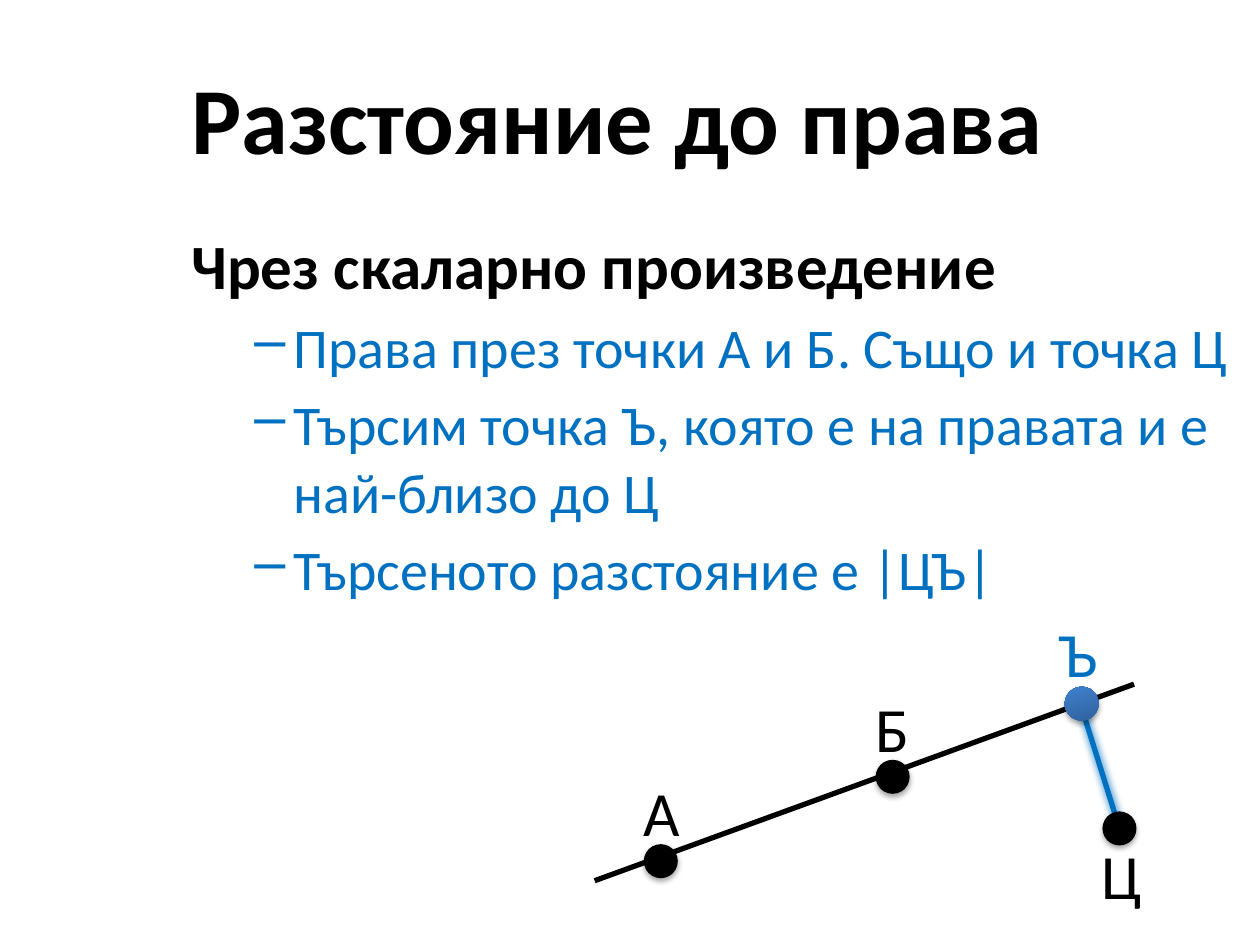
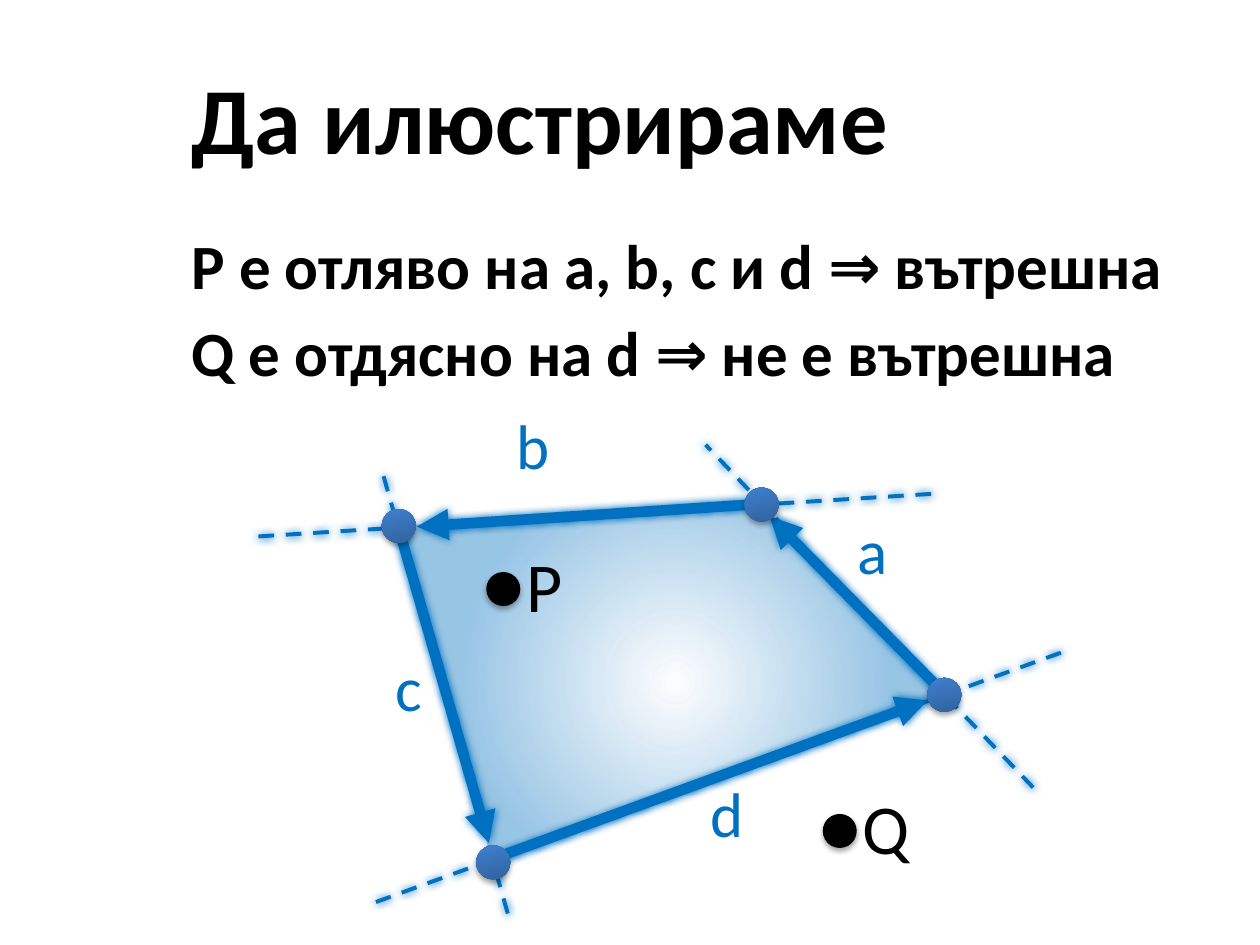
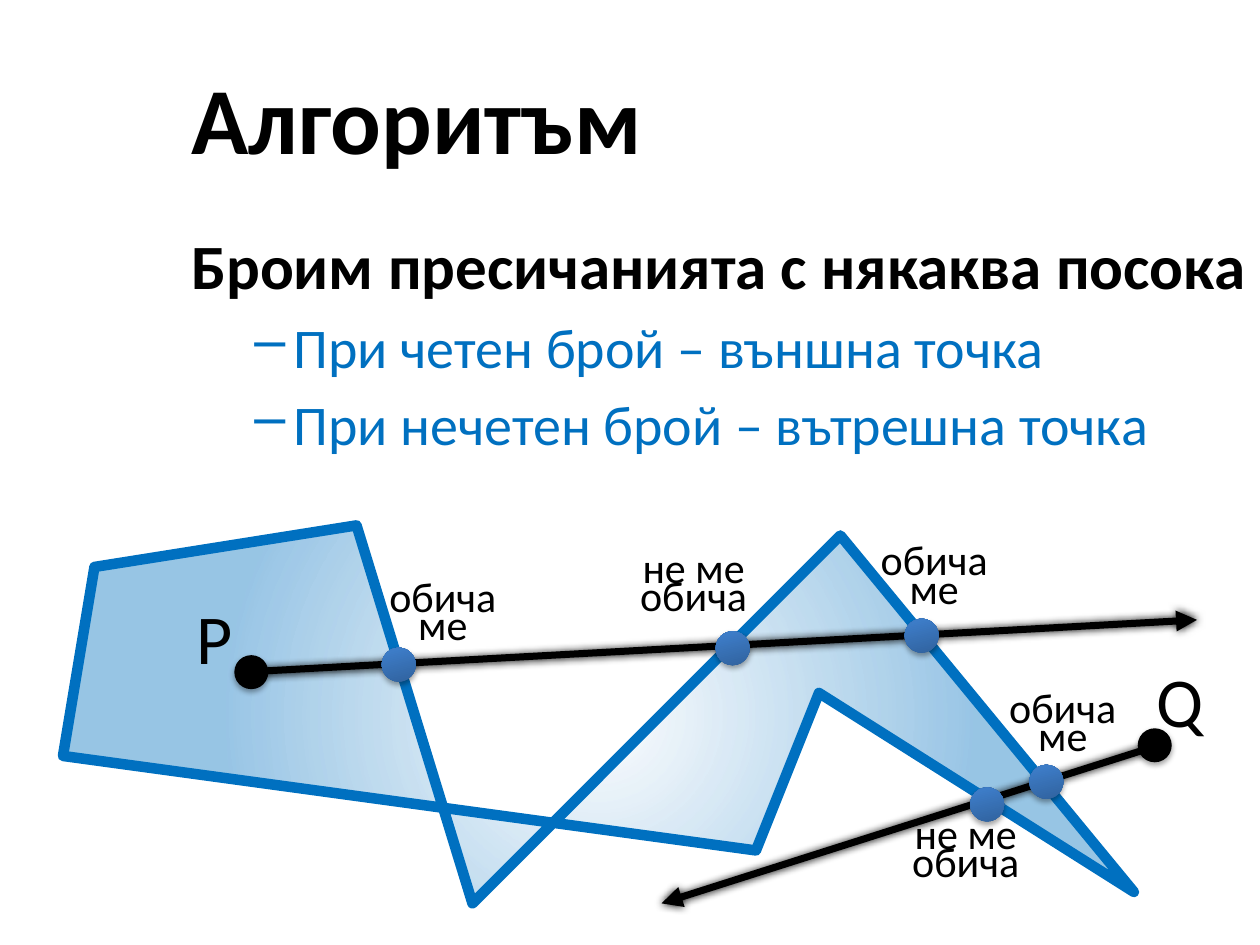
from typing import NamedTuple, Optional

from lxml import etree
from pptx import Presentation
from pptx import util as u
from pptx.dml.color import RGBColor
from pptx.enum import dml, shapes, text
from pptx.oxml.ns import qn

FONT = "Calibri"
BLACK = "000000"
BLUE = "0070C0"
DOT_SIZE = 0.27
DOT_STOPS = [(0, "2F5F99", 100), (80, "3D7CC7", 100), (100, "3A7CCB", 100)]
AREA_STOPS = [(0, BLUE, 0), (66, BLUE, 40)]
PARAGRAPH_GAP = 0.18

Point = tuple[float, float]


class Label(NamedTuple):
    words: str
    left: float
    top: float
    width: float = 0.96
    size: int = 36
    color: str = BLUE


class Verdict(NamedTuple):
    """A small centred remark beside a crossing, one word group a line."""
    lines: tuple[str, str]
    left: float
    top: float


class Dot(NamedTuple):
    left: float
    top: float
    is_blue: bool = False


class Segment(NamedTuple):
    start: Point
    end: Point
    color: str = BLUE
    width: float = 3
    dashed: bool = False
    arrow: bool = False
    glow: bool = True


class Bullet(NamedTuple):
    words: str
    is_sub: bool = False


def rgb(color: str) -> RGBColor:
    return RGBColor.from_string(color)


def add_color(parent, color: str, opacity: int) -> None:
    tone = etree.SubElement(parent, qn("a:srgbClr"), val=color)
    if opacity < 100:
        etree.SubElement(tone, qn("a:alpha"), val=str(opacity * 1000))


def add_shadow(item, color: str, opacity: int, blur: float, distance: float) -> None:
    """Append the effect list; the line must already be set."""
    effects = etree.SubElement(item._element.spPr, qn("a:effectLst"))
    shadow = etree.SubElement(
        effects, qn("a:outerShdw"), blurRad=str(u.Pt(blur)), dist=str(u.Pt(distance)),
        dir="5400000", rotWithShape="0")
    add_color(shadow, color, opacity)


def fill_gradient(shape, stops: list[tuple[int, str, int]], radial: bool) -> None:
    """Fill with (position, colour, opacity) stops, from the centre or upwards."""
    shape.fill.background()
    blank = shape._element.spPr.find(qn("a:noFill"))
    gradient = etree.Element(qn("a:gradFill"), rotWithShape="1")
    stop_list = etree.SubElement(gradient, qn("a:gsLst"))
    for position, color, opacity in stops:
        stop = etree.SubElement(stop_list, qn("a:gs"), pos=str(position * 1000))
        add_color(stop, color, opacity)
    if radial:
        circle = etree.SubElement(gradient, qn("a:path"), path="circle")
        etree.SubElement(circle, qn("a:fillToRect"), l="50000", t="50000", r="50000", b="50000")
    else:
        etree.SubElement(gradient, qn("a:lin"), ang="16200000", scaled="0")
    blank.getparent().replace(blank, gradient)


def add_frame(page, left: float, top: float, width: float, height: float, middle: bool = False):
    box = page.shapes.add_textbox(
        u.Inches(left), u.Inches(top), u.Inches(width), u.Inches(height))
    frame = box.text_frame
    frame.word_wrap = True
    frame.vertical_anchor = text.MSO_ANCHOR.MIDDLE if middle else text.MSO_ANCHOR.TOP
    return frame


def add_para(frame, words: str, size: int, color: str, bold: bool = False):
    first = not frame.paragraphs[0].runs
    para = frame.paragraphs[0] if first else frame.add_paragraph()
    if not first:
        para.space_before = u.Pt(round(size * PARAGRAPH_GAP, 1))
    span = para.add_run()
    span.text = words
    span.font.name = FONT
    span.font.size = u.Pt(size)
    span.font.bold = bold
    span.font.color.rgb = rgb(color)
    return para


def add_dash_bullet(para) -> None:
    props = para._p.get_or_add_pPr()
    props.set("marL", str(u.Inches(0.81)))
    props.set("indent", str(u.Inches(-0.31)))
    etree.SubElement(props, qn("a:buChar"), char="–")


def add_page(deck, title: str, bullets: list[Bullet]):
    page = deck.slides.add_slide(deck.slide_layouts[6])
    add_para(add_frame(page, 1.42, 0.3, 8.58, 1.25, middle=True), title, 54, BLACK, bold=True)
    body = add_frame(page, 1.42, 1.75, 8.58, 5.58)
    for bullet in bullets:
        if bullet.is_sub:
            add_dash_bullet(add_para(body, bullet.words, 32, BLUE))
        else:
            add_para(body, bullet.words, 36, BLACK, bold=True)
    return page


def draw_labels(page, labels: list[Label]) -> None:
    for label in labels:
        frame = add_frame(page, label.left, label.top, label.width, 0.75)
        add_para(frame, label.words, label.size, label.color)


def draw_verdicts(page, verdicts: list[Verdict]) -> None:
    for verdict in verdicts:
        frame = add_frame(page, verdict.left, verdict.top, 1.17, 0.83, middle=True)
        for line in verdict.lines:
            para = add_para(frame, line, 24, BLACK)
            para.alignment = text.PP_ALIGN.CENTER
            para.line_spacing = u.Pt(12)


def draw_dots(page, dots: list[Dot]) -> None:
    for dot in dots:
        shape = page.shapes.add_shape(
            shapes.MSO_SHAPE.OVAL, u.Inches(dot.left), u.Inches(dot.top),
            u.Inches(DOT_SIZE), u.Inches(DOT_SIZE))
        shape.rotation = 345
        if dot.is_blue:
            fill_gradient(shape, DOT_STOPS, radial=False)
        else:
            shape.fill.solid()
            shape.fill.fore_color.rgb = rgb(BLACK)
        shape.line.fill.background()
        add_shadow(shape, BLACK, 35, 3.1, 1.8)


def draw_segments(page, segments: list[Segment]) -> None:
    for segment in segments:
        ends = [u.Inches(value) for value in segment.start + segment.end]
        connector = page.shapes.add_connector(shapes.MSO_CONNECTOR.STRAIGHT, *ends)
        line = connector.line
        line.color.rgb = rgb(segment.color)
        line.width = u.Pt(segment.width)
        if segment.dashed:
            line.dash_style = dml.MSO_LINE.DASH
        if segment.arrow:
            etree.SubElement(line._get_or_add_ln(), qn("a:tailEnd"), type="triangle")
        if segment.glow:
            add_shadow(connector, segment.color, 100, 5, 0)
        else:
            etree.SubElement(connector._element.spPr, qn("a:effectLst"))


def draw_area(page, corners: list[Point], outline: Optional[float] = None) -> None:
    """Draw a closed polygon, paler at its centre; outline is in points."""
    first, *rest = [(u.Inches(x), u.Inches(y)) for x, y in corners]
    builder = page.shapes.build_freeform(*first)
    builder.add_line_segments(rest, close=True)
    area = builder.convert_to_shape()
    fill_gradient(area, AREA_STOPS, radial=True)
    if outline is None:
        area.line.fill.background()
    else:
        area.line.color.rgb = rgb(BLUE)
        area.line.width = u.Pt(outline)
    area.shadow.inherit = False


def build_distance_page(deck) -> None:
    page = add_page(deck, "Разстояние до права", [
        Bullet("Чрез скаларно произведение"),
        Bullet("Права през точки А и Б. Също и точка Ц", True),
        Bullet("Търсим точка Ъ, която е на правата и е най-близо до Ц", True),
        Bullet("Търсеното разстояние е |ЦЪ|", True),
    ])
    draw_segments(page, [
        Segment((8.88, 6.56), (8.57, 5.57)),
        Segment((4.72, 6.99), (9, 5.43), BLACK, glow=False),
    ])
    draw_dots(page, [
        Dot(5.11, 6.7), Dot(6.95, 6.03), Dot(8.45, 5.45, True), Dot(8.75, 6.44)])
    draw_labels(page, [
        Label("А", 5.01, 6.09, 0.58, color=BLACK),
        Label("Б", 6.85, 5.42, 0.58, color=BLACK),
        Label("Ъ", 8.31, 4.83, 0.58),
        Label("Ц", 8.64, 6.59, 0.58, color=BLACK),
    ])


def build_convex_page(deck) -> None:
    page = add_page(deck, "Да илюстрираме", [
        Bullet("P е отляво на a, b, c и d ⇒ вътрешна"),
        Bullet("Q е отдясно на d ⇒ не е вътрешна"),
    ])
    extensions = [
        ((8.2, 6.25), (5.6, 3.53)), ((7.39, 3.92), (2.01, 4.26)),
        ((4.03, 7.25), (3.03, 3.73)), ((8.42, 5.18), (2.9, 7.19))]
    sides = [
        ((7.5, 5.51), (6.11, 4.1)), ((6.03, 4), (3.31, 4.18)),
        ((3.15, 4.14), (3.88, 6.69)), ((3.9, 6.82), (7.36, 5.56))]
    draw_segments(page, [Segment(*ends, width=2.25, dashed=True) for ends in extensions])
    draw_area(page, [(3.21, 4.17), (3.9, 6.82), (7.5, 5.51), (6, 3.99)])
    draw_segments(page, [Segment(*ends, width=6, arrow=True) for ends in sides])
    draw_labels(page, [
        Label("a", 6.71, 4.01), Label("b", 4, 3.18),
        Label("c", 3.04, 5.1), Label("d", 5.54, 6.1),
        Label("Q", 6.75, 6.18, size=40, color=BLACK),
        Label("P", 4.08, 4.26, size=40, color=BLACK),
    ])
    draw_dots(page, [
        Dot(6.53, 6.46), Dot(3.86, 4.54), Dot(5.91, 3.87, True),
        Dot(3.03, 4.04, True), Dot(3.78, 6.71, True), Dot(7.36, 5.38, True)])


def build_crossings_page(deck) -> None:
    page = add_page(deck, "Алгоритъм", [
        Bullet("Броим пресичанията с някаква посока"),
        Bullet("При четен брой – външна точка", True),
        Bullet("При нечетен брой – вътрешна точка", True),
    ])
    draw_area(page, [
        (9, 7.08), (6.5, 5.5), (6, 6.75), (0.5, 6),
        (0.75, 4.5), (2.83, 4.17), (3.75, 7.17), (6.67, 4.25)], outline=6)
    draw_segments(page, [
        Segment((2.01, 5.33), (9.5, 4.92), BLACK, 4, arrow=True),
        Segment((9.18, 5.92), (5.25, 7.17), BLACK, 4, arrow=True),
    ])
    draw_dots(page, [
        Dot(1.86, 5.2), Dot(3.03, 5.14, True), Dot(5.68, 5.01, True),
        Dot(7.18, 4.91, True), Dot(9.03, 5.78), Dot(8.17, 6.07, True), Dot(7.7, 6.25, True)])
    loves, loves_not = ("обича", "ме"), ("не ме", "обича")
    draw_verdicts(page, [
        Verdict(loves, 2.93, 4.54), Verdict(loves_not, 4.92, 4.31),
        Verdict(loves, 6.83, 4.25), Verdict(loves, 7.85, 5.42),
        Verdict(loves_not, 7.08, 6.42)])
    draw_labels(page, [
        Label("P", 1.46, 4.67, 0.62, 40, BLACK),
        Label("Q", 9.08, 5.17, 0.62, 40, BLACK),
    ])


def main() -> None:
    deck = Presentation()
    deck.slide_width = u.Inches(10)
    deck.slide_height = u.Inches(7.5)
    build_distance_page(deck)
    build_convex_page(deck)
    build_crossings_page(deck)
    deck.save("out.pptx")


if __name__ == "__main__":
    main()
